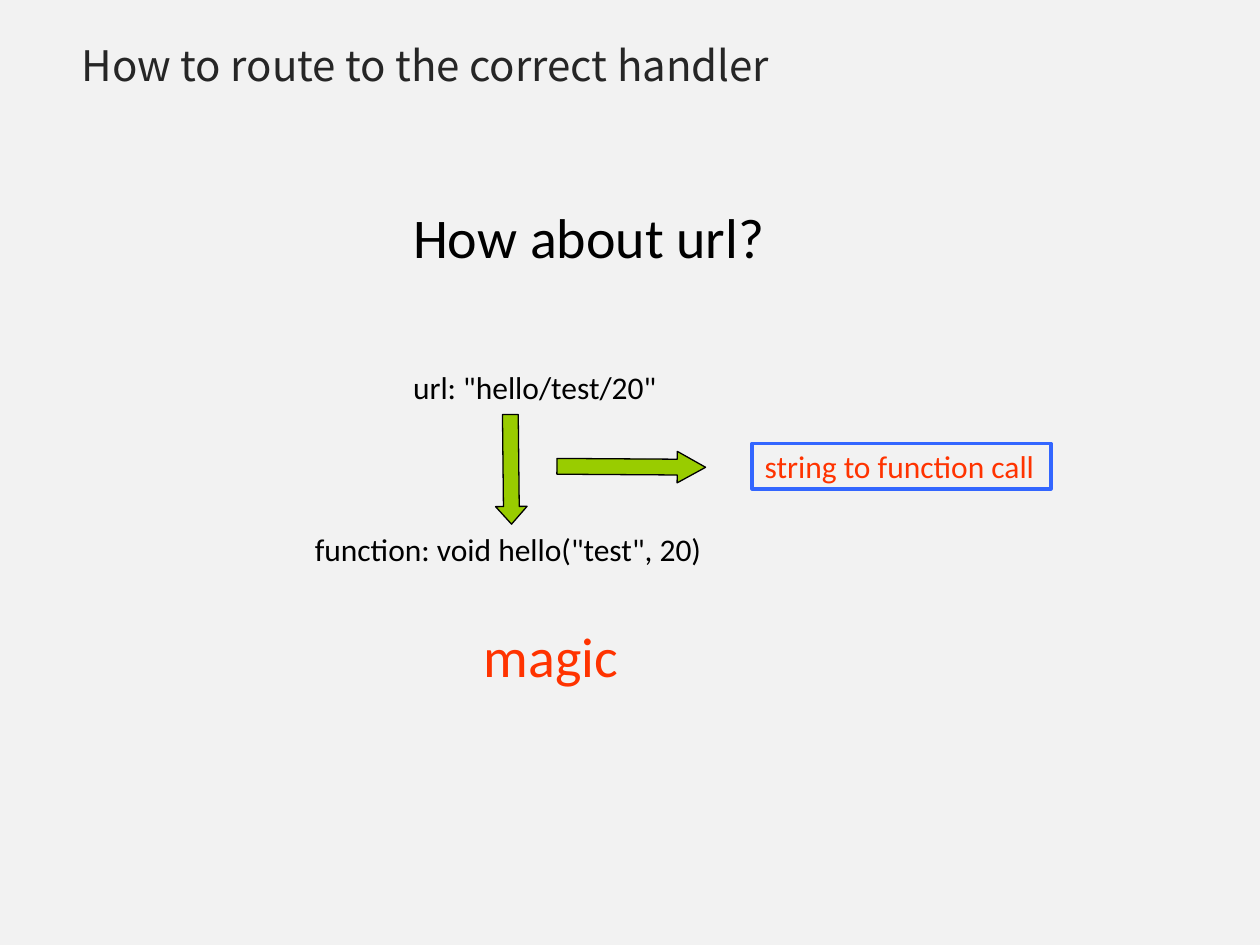
from pptx import Presentation
from pptx.dml.color import RGBColor
from pptx.enum.shapes import MSO_SHAPE
from pptx.enum.text import MSO_ANCHOR, MSO_AUTO_SIZE
from pptx.util import Inches, Pt

ARROW, RECT = MSO_SHAPE.RIGHT_ARROW, MSO_SHAPE.RECTANGLE
TOP, MIDDLE = MSO_ANCHOR.TOP, MSO_ANCHOR.MIDDLE
FIT = MSO_AUTO_SIZE.SHAPE_TO_FIT_TEXT

COLORS = {"back": "F2F2F2", "title": "262626", "text": "000000",
          "accent": "FF3300", "arrow": "99CC00", "frame": "3366FF"}
FONT, HEAD_FONT = "Calibri", "Noto Sans CJK SC"

# Content: text, box (left, top, width, height), size, color, wrap
TITLE = ("How to route to the correct handler", (0.55, 0.31, 7.35, 0.46))
LABELS = [
    ("How about url?", (3.18, 1.56, 3.02, 0.64), 32, "text", False),
    ('url: "hello/test/20"', (3.18, 2.87, 2.16, 0.4), 18, "text", False),
    ('function: void hello("test", 20)', (2.4, 4.16, 3.31, 0.4), 18, "text", False),
    ("string to function call", (5.97, 3.5, 2.58, 0.4), 18, "accent", True),
    ("magic", (3.74, 4.88, 1.38, 0.63), 32, "accent", False),
]
# Arrows: box, turn in degrees, head length
ARROWS = [
    ((3.62, 3.6, 0.87, 0.25), 89.4, 0.56),
    ((4.42, 3.58, 1.18, 0.25), 0.4, 0.9),
]
FRAME = (5.97, 3.52, 2.37, 0.36)


def color(name):
    return RGBColor.from_string(COLORS[name])


def add_text(slide, text, box, size, tint, wrap, font=FONT, anchor=TOP, lead=None):
    frame = slide.shapes.add_textbox(*map(Inches, box)).text_frame
    frame.word_wrap = wrap
    frame.auto_size = FIT
    frame.vertical_anchor = anchor
    para = frame.paragraphs[0]
    para.line_spacing = lead
    run = para.add_run()
    run.text = text
    run.font.size = Pt(size)
    run.font.name = font
    run.font.color.rgb = color(tint)


def add_shape(slide, kind, box, line, width, fill=None):
    shape = slide.shapes.add_shape(kind, *map(Inches, box))
    shape.shadow.inherit = False
    if fill:
        shape.fill.solid()
        shape.fill.fore_color.rgb = color(fill)
    else:
        shape.fill.background()
    shape.line.color.rgb = color(line)
    shape.line.width = Pt(width)
    return shape


def main():
    deck = Presentation()
    deck.slide_width, deck.slide_height = Inches(10), Inches(7.5)
    slide = deck.slides.add_slide(deck.slide_layouts[6])
    slide.background.fill.solid()
    slide.background.fill.fore_color.rgb = color("back")

    # Title and labels
    add_text(slide, *TITLE, 24, "title", True, HEAD_FONT, MIDDLE, 0.9)
    for label in LABELS:
        add_text(slide, *label)

    # Arrows from the url to the function and to the note
    for box, turn, head in ARROWS:
        arrow = add_shape(slide, ARROW, box, "text", 0.75, "arrow")
        arrow.rotation = turn
        arrow.adjustments[1] = head

    # Frame around the note
    add_shape(slide, RECT, FRAME, "frame", 2)

    deck.save("out.pptx")


if __name__ == "__main__":
    main()
